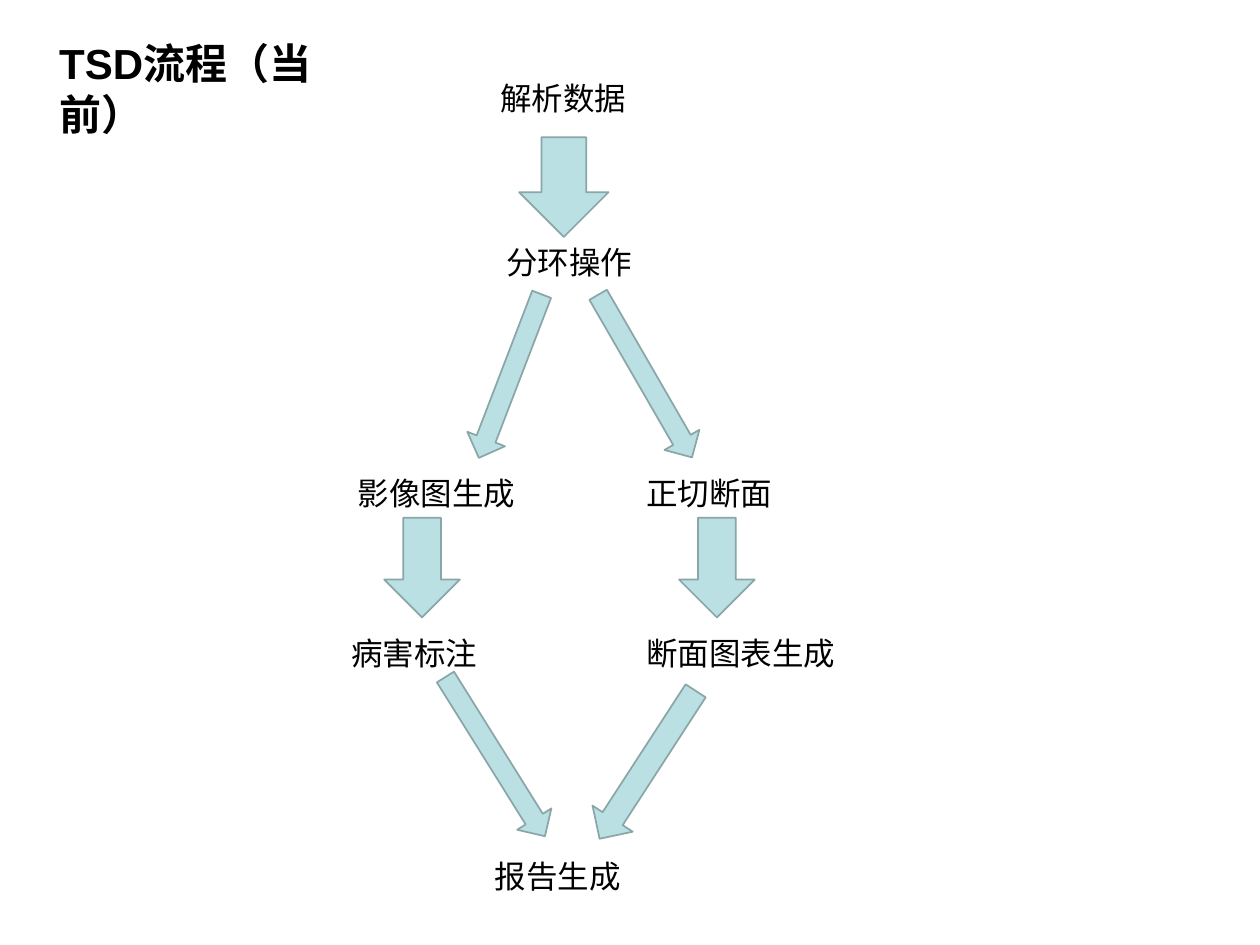
from dataclasses import dataclass

from pptx import Presentation
from pptx.dml.color import RGBColor
from pptx.enum.shapes import MSO_SHAPE
from pptx.enum.text import MSO_ANCHOR, MSO_AUTO_SIZE, PP_ALIGN
from pptx.util import Inches, Pt

DOWN = MSO_SHAPE.DOWN_ARROW
TOP = MSO_ANCHOR.TOP
GROW = MSO_AUTO_SIZE.SHAPE_TO_FIT_TEXT
LEFT = PP_ALIGN.LEFT


@dataclass(frozen=True)
class Theme:
    font: str = "Arial"
    ink: RGBColor = RGBColor(0, 0, 0)
    fill: RGBColor = RGBColor(0xBB, 0xE0, 0xE3)
    edge: RGBColor = RGBColor(0x8A, 0xA6, 0xA8)
    title: Pt = Pt(24)
    label: Pt = Pt(18)
    line: Pt = Pt(1)


@dataclass(frozen=True)
class Step:
    text: str
    x: float
    y: float
    width: float


@dataclass(frozen=True)
class Arrow:
    x: float
    y: float
    width: float
    height: float
    turn: float = 0


THEME = Theme()

# Rows and columns shared by the two branches
SPLIT, MERGE = 3.71, 4.98
RIGHT = 5.03
DROP, FALL = 4.11, 0.79

STEPS = [
    Step("解析数据", 3.87, 0.58, 1.39),
    Step("分环操作", 3.92, 1.88, 1.34),
    Step("影像图生成", 2.74, SPLIT, 1.59),
    Step("正切断面", RIGHT, SPLIT, 1.34),
    Step("病害标注", 2.69, MERGE, 1.23),
    Step("断面图表生成", RIGHT, MERGE, 2.11),
    Step("报告生成", 3.83, 6.75, 1.36),
]

ARROWS = [
    Arrow(4.12, 1.09, 0.71, FALL),
    Arrow(3.89, 2.29, 0.32, 1.39, 21),
    Arrow(4.96, 2.24, 0.32, 1.49, 330),
    Arrow(3.05, DROP, 0.6, FALL),
    Arrow(5.39, DROP, 0.6, FALL),
    Arrow(4.95, 5.37, 0.38, 1.4, 33),
    Arrow(3.77, 5.26, 0.32, 1.49, 328),
]


def write(shape, text: str, size: Pt, bold: bool = False) -> None:
    frame = shape.text_frame
    frame.text = text
    frame.word_wrap = True
    frame.vertical_anchor = TOP
    frame.auto_size = GROW
    para = frame.paragraphs[0]
    para.alignment = LEFT
    font = para.font
    font.name, font.size, font.bold = THEME.font, size, bold
    font.color.rgb = THEME.ink


def add_step(slide, step: Step) -> None:
    box = slide.shapes.add_textbox(
        Inches(step.x), Inches(step.y), Inches(step.width), Inches(0.4))
    write(box, step.text, THEME.label)


def add_arrow(slide, arrow: Arrow) -> None:
    shape = slide.shapes.add_shape(
        DOWN, Inches(arrow.x), Inches(arrow.y),
        Inches(arrow.width), Inches(arrow.height))
    shape.rotation = arrow.turn
    shape.shadow.inherit = False
    shape.fill.solid()
    shape.fill.fore_color.rgb = THEME.fill
    shape.line.color.rgb = THEME.edge
    shape.line.width = THEME.line


deck = Presentation()
deck.slide_width, deck.slide_height = Inches(10), Inches(7.5)
slide = deck.slides.add_slide(deck.slide_layouts[5])

# Title
title = slide.shapes.title
title.left, title.top = Inches(0.37), Inches(0.25)
title.width, title.height = Inches(2.68), Inches(0.5)
write(title, "TSD流程（当前）", THEME.title, bold=True)

# Flow
for step in STEPS:
    add_step(slide, step)
for arrow in ARROWS:
    add_arrow(slide, arrow)

deck.save("out.pptx")
